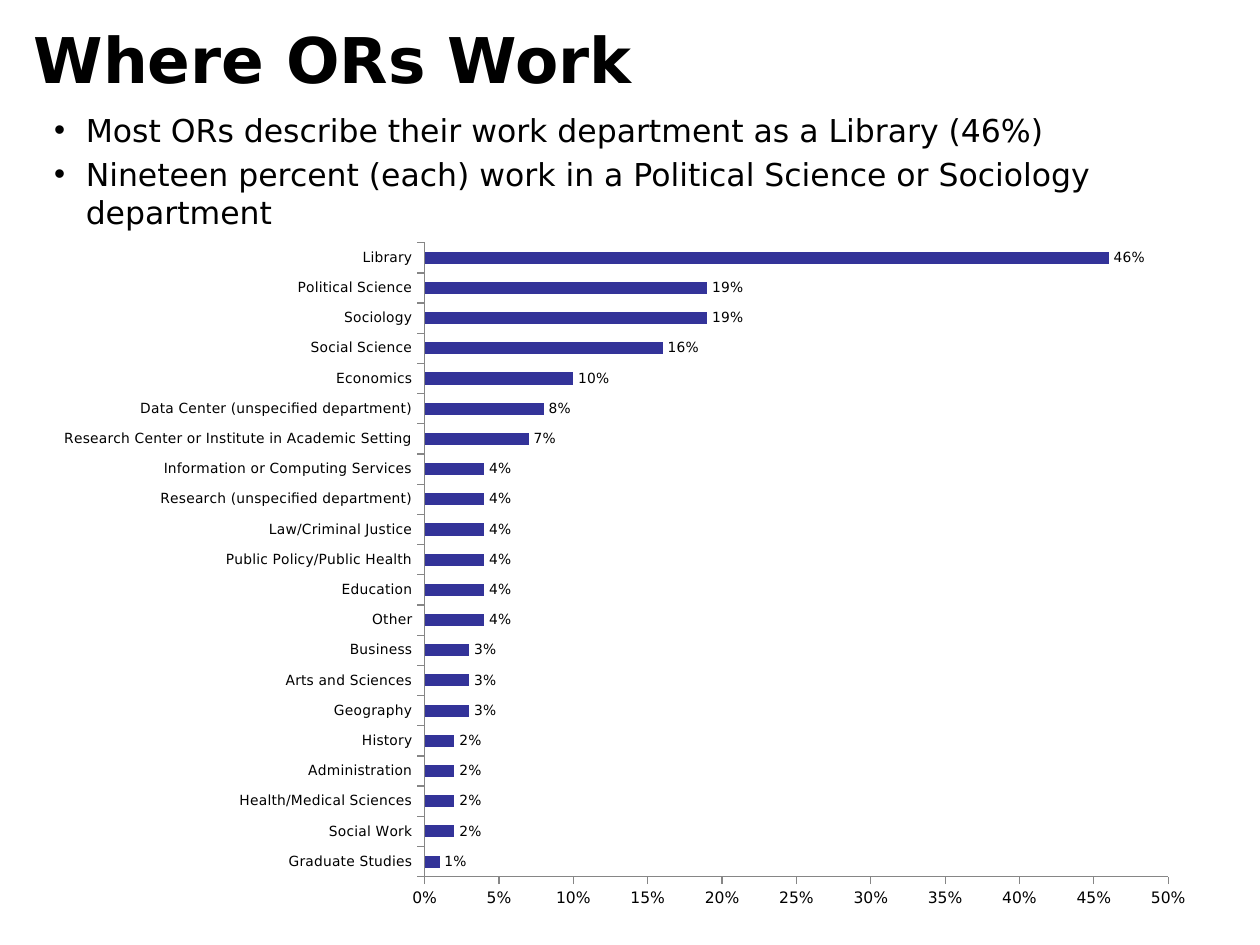
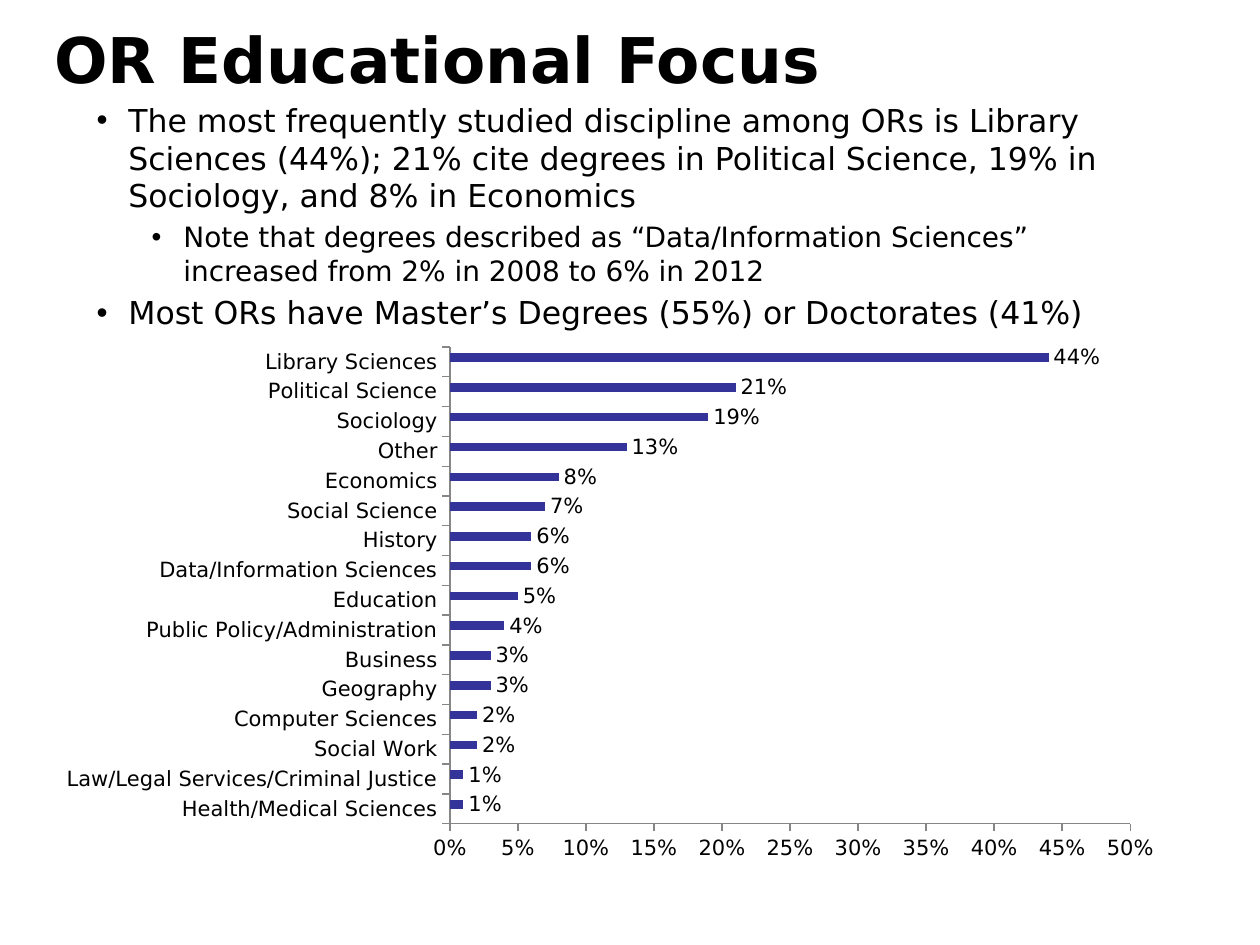
from lxml import etree
from pptx import Presentation
from pptx.chart.data import CategoryChartData
from pptx.dml.color import RGBColor
from pptx.enum.chart import XL_CHART_TYPE, XL_LABEL_POSITION, XL_TICK_MARK
from pptx.enum.text import MSO_ANCHOR
from pptx.oxml.ns import qn
from pptx.util import Cm, Pt

BAR_CLUSTERED = XL_CHART_TYPE.BAR_CLUSTERED
OUTSIDE_END = XL_LABEL_POSITION.OUTSIDE_END
TICK_OUTSIDE, TICK_NONE = XL_TICK_MARK.OUTSIDE, XL_TICK_MARK.NONE
MIDDLE = MSO_ANCHOR.MIDDLE

FONT = "DejaVu Sans"
COLORS = {"text": "000000", "bar": "333399", "axis": "868686"}
TITLE_SIZE = 36
BULLET_SIZES = [18, 16]      # by level
BULLET_INDENTS = [0.64, 1.75]
BULLET_HANGING = 0.64

# Percentages, from the top bar down
DEPARTMENTS = [
    ("Library", 46),
    ("Political Science", 19),
    ("Sociology", 19),
    ("Social Science", 16),
    ("Economics", 10),
    ("Data Center (unspecified department)", 8),
    ("Research Center or Institute in Academic Setting", 7),
    ("Information or Computing Services", 4),
    ("Research (unspecified department)", 4),
    ("Law/Criminal Justice", 4),
    ("Public Policy/Public Health", 4),
    ("Education", 4),
    ("Other", 4),
    ("Business", 3),
    ("Arts and Sciences", 3),
    ("Geography", 3),
    ("History", 2),
    ("Administration", 2),
    ("Health/Medical Sciences", 2),
    ("Social Work", 2),
    ("Graduate Studies", 1),
]
DISCIPLINES = [
    ("Library Sciences", 44),
    ("Political Science", 21),
    ("Sociology", 19),
    ("Other", 13),
    ("Economics", 8),
    ("Social Science", 7),
    ("History", 6),
    ("Data/Information Sciences", 6),
    ("Education", 5),
    ("Public Policy/Administration", 4),
    ("Business", 3),
    ("Geography", 3),
    ("Computer Sciences", 2),
    ("Social Work", 2),
    ("Law/Legal Services/Criminal Justice", 1),
    ("Health/Medical Sciences", 1),
]


def color(name):
    return RGBColor.from_string(COLORS[name])


def style_font(font, size, bold=False):
    font.name = FONT
    font.size = Pt(size)
    font.bold = bold
    font.color.rgb = color("text")


def add_text_frame(page, left, top, width, height):
    box = page.shapes.add_textbox(Cm(left), Cm(top), Cm(width), Cm(height))
    box.text_frame.word_wrap = True
    return box.text_frame


def add_title(page, text, left):
    frame = add_text_frame(page, left, 0, 21.39, 2.34)
    frame.vertical_anchor = MIDDLE
    para = frame.paragraphs[0]
    para.text = text
    style_font(para.font, TITLE_SIZE, bold=True)


def add_bullets(page, items, left, top, width, height):
    """Items are (level, text) pairs."""
    frame = add_text_frame(page, left, top, width, height)
    for index, (level, text) in enumerate(items):
        para = frame.add_paragraph() if index else frame.paragraphs[0]
        para.text = text
        para.level = level
        size = BULLET_SIZES[level]
        if index:
            para.space_before = Pt(size * 0.2)
        props = para._p.get_or_add_pPr()
        props.set("marL", str(Cm(BULLET_INDENTS[level])))
        props.set("indent", str(-Cm(BULLET_HANGING)))
        etree.SubElement(props, qn("a:buFont")).set("typeface", "Arial")
        etree.SubElement(props, qn("a:buChar")).set("char", "•")
        style_font(para.font, size)


def place_plot(chart, x, y, w, h):
    """Fix the inner plot area, as fractions of the chart."""
    area = chart.element.find(".//" + qn("c:plotArea"))
    for layout in area.findall(qn("c:layout")):
        area.remove(layout)
    layout = etree.Element(qn("c:layout"))
    area.insert(0, layout)
    manual = etree.SubElement(layout, qn("c:manualLayout"))
    settings = [("layoutTarget", "inner"), ("xMode", "edge"), ("yMode", "edge"),
                ("x", x), ("y", y), ("w", w), ("h", h)]
    for name, value in settings:
        etree.SubElement(manual, qn("c:" + name)).set("val", str(value))


def style_axis(axis, size):
    axis.has_major_gridlines = False
    axis.major_tick_mark = TICK_OUTSIDE
    axis.minor_tick_mark = TICK_NONE
    axis.format.line.color.rgb = color("axis")
    axis.format.line.width = Pt(0.75)
    style_font(axis.tick_labels.font, size)


def add_bar_chart(page, rows, place, plot_place, label_size, scale_size,
                  empty_series=False):
    # Bars are drawn from the bottom up
    rows = rows[::-1]
    data = CategoryChartData(number_format="0%")
    data.categories = [name for name, _ in rows]
    if empty_series:
        data.add_series("Series 1", [None] * len(rows))
    data.add_series("Series 2" if empty_series else "Series 1",
                    [percent / 100 for _, percent in rows])
    frame = page.shapes.add_chart(BAR_CLUSTERED, *map(Cm, place), data)
    chart = frame.chart
    chart.has_title = False
    chart.has_legend = False
    style_font(chart.font, 18)
    place_plot(chart, *plot_place)

    # Axes
    style_axis(chart.category_axis, label_size)
    scale = chart.value_axis
    style_axis(scale, scale_size)
    scale.minimum_scale, scale.maximum_scale = 0, 0.5
    scale.major_unit = 0.05
    scale.tick_labels.number_format = "0%"
    scale.tick_labels.number_format_is_linked = False

    # Bars and their labels
    plot = chart.plots[0]
    plot.gap_width = 150
    plot.overlap = 0
    plot.vary_by_categories = False
    for series in plot.series:
        series.format.fill.solid()
        series.format.fill.fore_color.rgb = color("bar")
    labels = plot.series[-1].data_labels
    labels.show_value = True
    labels.position = OUTSIDE_END
    labels.number_format = "0%"
    labels.number_format_is_linked = False
    style_font(labels.font, label_size)


def main():
    deck = Presentation()
    deck.slide_width, deck.slide_height = Cm(25.4), Cm(19.05)
    blank = deck.slide_layouts[6]

    # Work departments
    page = deck.slides.add_slide(blank)
    add_title(page, "Where ORs Work", 0.43)
    add_bullets(page, [
        (0, "Most ORs describe their work department as a Library (46%)"),
        (0, "Nineteen percent (each) work in a Political Science or Sociology "
            "department"),
    ], 0.84, 2.11, 22.23, 2.74)
    add_bar_chart(page, DEPARTMENTS, (0.84, 4.88, 23.06, 13.54),
                  (0.35, 0, 0.66, 0.945), label_size=8, scale_size=9)

    # Fields of study
    page = deck.slides.add_slide(blank)
    add_title(page, "OR Educational Focus", 0.84)
    add_bullets(page, [
        (0, "The most frequently studied discipline among ORs is Library "
            "Sciences (44%); 21% cite degrees in Political Science, 19% in "
            "Sociology, and 8% in Economics"),
        (1, "Note that degrees described as “Data/Information Sciences” "
            "increased from 2% in 2008 to 6% in 2012"),
        (0, "Most ORs have Master’s Degrees (55%) or Doctorates (41%)"),
    ], 1.7, 1.91, 21.39, 4.65)
    add_bar_chart(page, DISCIPLINES, (0.84, 6.78, 22.86, 10.8),
                  (0.36, 0.02, 0.6, 0.89), label_size=12, scale_size=12,
                  empty_series=True)

    deck.save("out.pptx")


if __name__ == "__main__":
    main()
